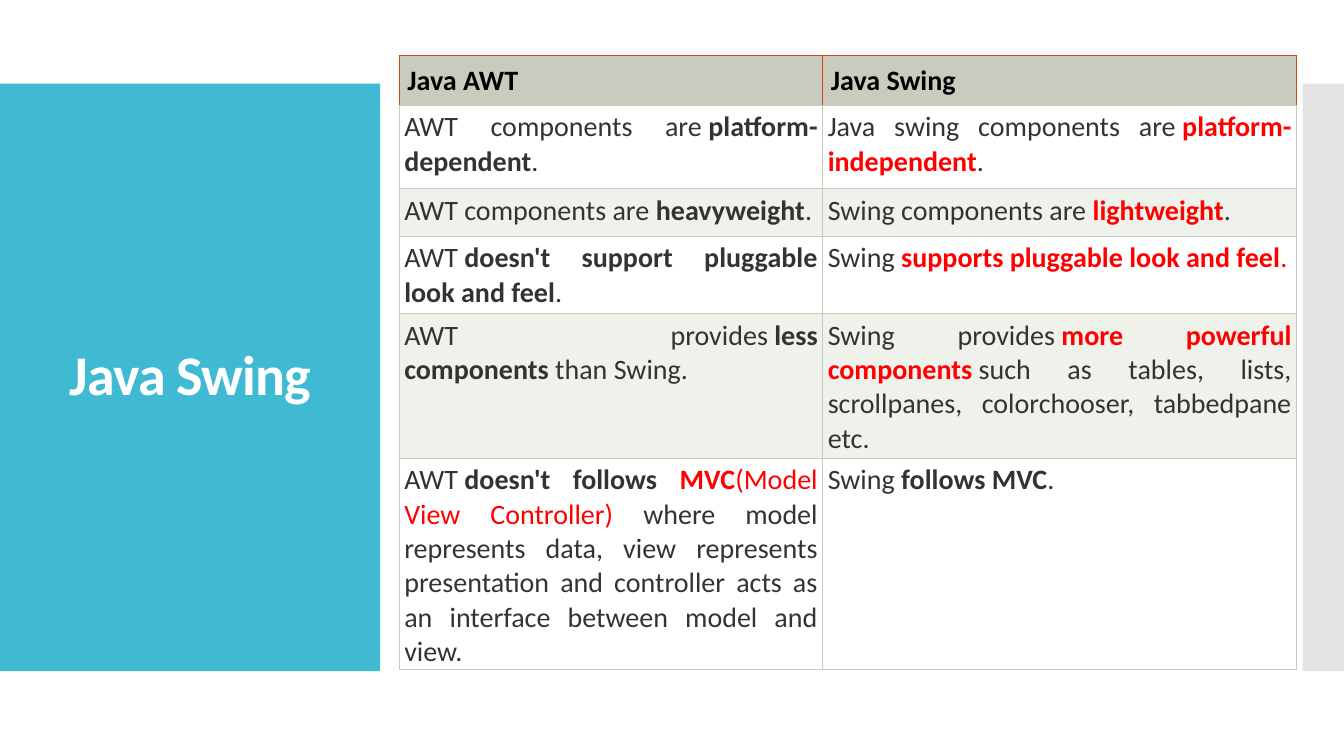
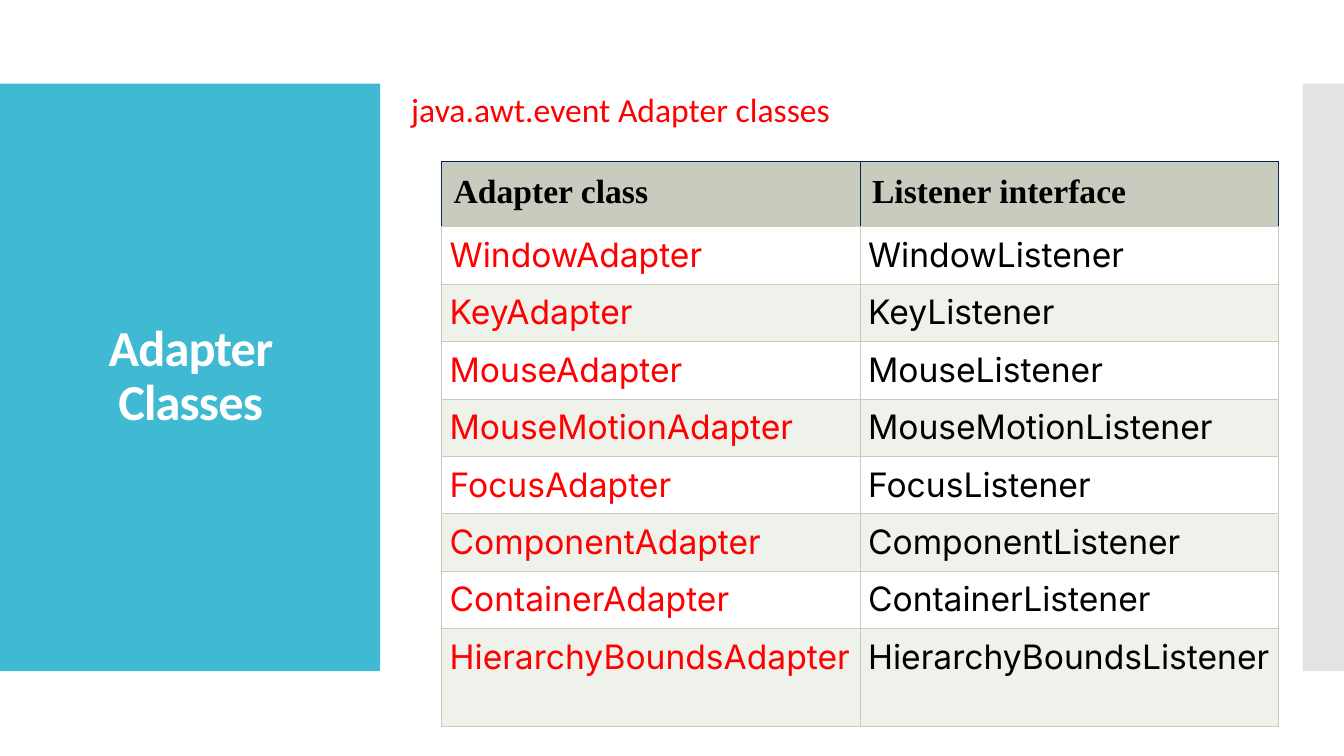
from dataclasses import dataclass

from lxml import etree
from pptx import Presentation
from pptx import util as u
from pptx.dml.color import RGBColor
from pptx.enum import shapes, text
from pptx.oxml.ns import qn


@dataclass(frozen=True)
class Theme:
    # Colours
    panel: str = "40BAD2"
    edge: str = "C8C8C8"
    white: str = "FFFFFF"
    black: str = "000000"
    body: str = "333333"
    accent: str = "FF0000"
    header: str = "C7CCBE"
    stripe: str = "EFF1EB"
    # Fonts and type sizes
    sans: str = "Calibri"
    serif: str = "Times New Roman"
    display: str = "Inter"
    title_size: int = 40
    long_title_size: int = 36
    compare_size: int = 20
    list_size: int = 24


THEME = Theme()


def style(size, color, font=THEME.sans, bold=False):
    return {"size": u.Pt(size), "name": font, "bold": bold, "color": color}


def set_values(target, values):
    for name, value in values.items():
        setattr(target, name, value)


class Deck:
    def __init__(self, theme):
        self.theme = theme
        self.prs = Presentation()
        self.prs.slide_width = u.Inches(13.33)
        self.prs.slide_height = u.Inches(7.5)
        self.slide = None

    def new_slide(self, title, size):
        """Start a slide with its side bands and title."""
        self.slide = self.prs.slides.add_slide(self.prs.slide_layouts[6])
        self.band(0, 3.77, self.theme.panel)
        self.band(12.92, 0.41, self.theme.edge, opacity=50)
        frame = self.text_box(0.28, 1.23, 3.22, 5.03)
        frame.vertical_anchor = text.MSO_ANCHOR.MIDDLE
        heading = frame.paragraphs[0]
        set_values(heading, {"alignment": text.PP_ALIGN.CENTER, "line_spacing": 0.9})
        run = self.run(heading, title, style(size, self.theme.white, bold=True))
        run.font._element.set("spc", "-60")

    def band(self, left, width, color, opacity=None):
        band = self.slide.shapes.add_shape(
            shapes.MSO_SHAPE.RECTANGLE,
            u.Inches(left), u.Inches(0.83), u.Inches(width), u.Inches(5.83))
        band.shadow.inherit = False
        band.line.fill.background()
        self.fill(band, color)
        if opacity:
            tint = band._element.spPr.find(".//" + qn("a:srgbClr"))
            etree.SubElement(tint, qn("a:alpha")).set("val", str(opacity * 1000))

    def text_box(self, left, top, width, height, wrap=True):
        frame = self.slide.shapes.add_textbox(
            u.Inches(left), u.Inches(top), u.Inches(width), u.Inches(height)).text_frame
        frame.word_wrap = wrap
        return frame

    def label(self, left, top, width, height, words, look):
        frame = self.text_box(left, top, width, height, wrap=False)
        frame.auto_size = text.MSO_AUTO_SIZE.SHAPE_TO_FIT_TEXT
        self.run(frame.paragraphs[0], words, look)

    def run(self, paragraph, words, look):
        run = paragraph.add_run()
        run.text = words
        set_values(run.font, {k: v for k, v in look.items() if k != "color"})
        run.font.color.rgb = RGBColor.from_string(look["color"])
        return run

    def fill(self, target, color):
        target.fill.solid()
        target.fill.fore_color.rgb = RGBColor.from_string(color)

    def borders(self, cell, outer, bottom):
        sides = {"L": outer, "R": outer, "T": outer, "B": bottom}
        for place, (side, color) in enumerate(sides.items()):
            line = etree.Element(qn("a:ln" + side), w=str(u.Pt(0.75)))
            solid = etree.SubElement(line, qn("a:solidFill"))
            etree.SubElement(solid, qn("a:srgbClr")).set("val", color)
            cell._tc.get_or_add_tcPr().insert(place, line)

    def table(self, left, top, widths, heights, rows, head_line, head_inset, inset):
        """Each cell is a list of (words, style) runs; the first row is the header."""
        grid = self.slide.shapes.add_table(
            len(rows), len(widths), u.Inches(left), u.Inches(top),
            u.Inches(sum(widths)), u.Inches(sum(heights))).table
        for column, width in zip(grid.columns, widths):
            column.width = u.Inches(width)
        for r, (row, height) in enumerate(zip(rows, heights)):
            grid.rows[r].height = u.Inches(height)
            for c, runs in enumerate(row):
                self.cell(grid.cell(r, c), runs, r, head_line,
                          inset if r else head_inset)

    def cell(self, cell, runs, row, head_line, inset):
        theme = self.theme
        margins = ("margin_left", "margin_right", "margin_top", "margin_bottom")
        set_values(cell, dict.fromkeys(margins, u.Inches(inset)))
        if row == 0:
            self.fill(cell, theme.header)
        else:
            self.fill(cell, theme.white if row % 2 else theme.stripe)
            cell.text_frame.paragraphs[0].alignment = text.PP_ALIGN.JUSTIFY
        self.borders(cell, theme.header if row else head_line, theme.header)
        for words, look in runs:
            self.run(cell.text_frame.paragraphs[0], words, look)


deck = Deck(THEME)

# Slide 1: AWT compared with Swing
head = style(THEME.compare_size, THEME.black, bold=True)
plain = style(THEME.compare_size, THEME.body)
strong = style(THEME.compare_size, THEME.body, bold=True)
red = style(THEME.compare_size, THEME.accent)
red_strong = style(THEME.compare_size, THEME.accent, bold=True)
stop = (".", plain)

comparison = [
    [[("Java AWT", head)], [("Java Swing", head)]],
    [[("AWT components are\u00a0", plain), ("platform-dependent", strong), stop],
     [("Java swing components are\u00a0", plain),
      ("platform-independent", red_strong), stop]],
    [[("AWT components are\u00a0", plain), ("heavyweight", strong), stop],
     [("Swing components are\u00a0", plain), ("lightweight", red_strong), stop]],
    [[("AWT\u00a0", plain), ("doesn't support pluggable look and feel", strong), stop],
     [("Swing\u00a0", plain), ("supports pluggable look and feel", red_strong),
      (".", red)]],
    [[("AWT provides\u00a0", plain), ("less components", strong),
      ("\u00a0than Swing.", plain)],
     [("Swing provides\u00a0", plain), ("more powerful components\u00a0", red_strong),
      ("such as tables, lists, scrollpanes, colorchooser, tabbedpane etc.", plain)]],
    [[("AWT\u00a0", plain), ("doesn't follows ", strong), ("MVC", red_strong),
      ("(Model View Controller) ", red),
      ("where model represents data, view represents presentation and controller "
       "acts as an interface between model and view.", plain)],
     [("Swing\u00a0", plain), ("follows MVC", strong), stop]],
]
deck.new_slide("Java Swing", THEME.title_size)
deck.table(3.96, 0.55, [4.2, 4.7], [0.34, 0.83, 0.47, 0.65, 1.38, 1.93], comparison,
           head_line="D04410", head_inset=0.08, inset=0.05)

# Slide 2: adapter classes and their listeners
column_head = style(THEME.list_size, THEME.black, THEME.serif, bold=True)
adapter = style(THEME.list_size, THEME.accent, THEME.display)
listener = style(THEME.list_size, THEME.black, THEME.display)
events = ["Window", "Key", "Mouse", "MouseMotion", "Focus", "Component",
          "Container", "HierarchyBounds"]
pairs = [[[("Adapter class", column_head)], [("Listener interface", column_head)]]]
pairs += [[[(event + "Adapter", adapter)], [(event + "Listener", listener)]]
          for event in events]

deck.new_slide("Adapter Classes", THEME.long_title_size)
deck.table(4.38, 1.6, [4.15] * 2, [0.65] + [0.57] * 7 + [0.97], pairs,
           head_line="082657", head_inset=0.12, inset=0.08)
deck.label(3.98, 0.83, 4.48, 0.5, "java.awt.event Adapter classes",
           style(THEME.list_size, THEME.accent))

deck.prs.save("out.pptx")
